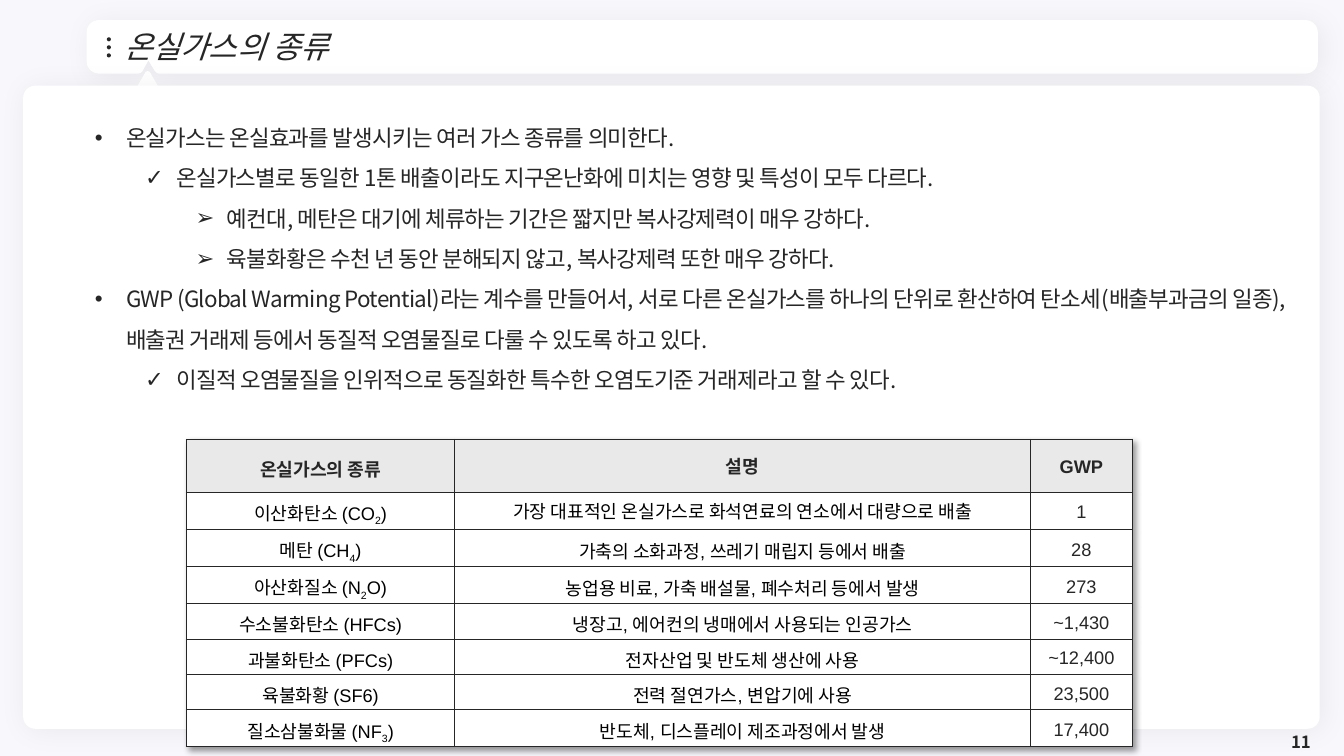
import math

from lxml import etree
from pptx import Presentation
from pptx.dml.color import RGBColor
from pptx.enum import shapes, text
from pptx.oxml import ns
from pptx.util import Inches, Pt

INK = RGBColor(0x26, 0x26, 0x26)
BLACK = RGBColor(0, 0, 0)
WHITE = RGBColor(0xFF, 0xFF, 0xFF)
HEADER = RGBColor(0xE9, 0xE9, 0xE9)
BACKGROUND = RGBColor(0xF8, 0xF7, 0xFC)
KOREAN = "Noto Sans CJK KR"
BULLETS = "•✓➢"

POINTS = [
    (0, "온실가스는 온실효과를 발생시키는 여러 가스 종류를 의미한다."),
    (1, "온실가스별로 동일한 1톤 배출이라도 지구온난화에 미치는 영향 및 특성이 모두 다르다."),
    (2, "예컨대, 메탄은 대기에 체류하는 기간은 짧지만 복사강제력이 매우 강하다."),
    (2, "육불화황은 수천 년 동안 분해되지 않고, 복사강제력 또한 매우 강하다."),
    (0, "GWP (Global Warming Potential)라는 계수를 만들어서, 서로 다른 온실가스를 하나의 단위로 "
        "환산하여 탄소세(배출부과금의 일종), 배출권 거래제 등에서 동질적 오염물질로 다룰 수 있도록 하고 있다."),
    (1, "이질적 오염물질을 인위적으로 동질화한 특수한 오염도기준 거래제라고 할 수 있다."),
]
GASES = [
    (0.52, "온실가스의 종류", "설명", "GWP"),
    (0.37, "이산화탄소 (CO|2|)", "가장 대표적인 온실가스로 화석연료의 연소에서 대량으로 배출", "1"),
    (0.37, "메탄 (CH|4|)", "가축의 소화과정, 쓰레기 매립지 등에서 배출", "28"),
    (0.37, "아산화질소 (N|2|O)", "농업용 비료, 가축 배설물, 폐수처리 등에서 발생", "273"),
    (0.35, "수소불화탄소 (HFCs)", "냉장고, 에어컨의 냉매에서 사용되는 인공가스", "~1,430"),
    (0.35, "과불화탄소 (PFCs)", "전자산업 및 반도체 생산에 사용", "~12,400"),
    (0.35, "육불화황 (SF6)", "전력 절연가스, 변압기에 사용", "23,500"),
    (0.37, "질소삼불화물 (NF|3|)", "반도체, 디스플레이 제조과정에서 발생", "17,400"),
]


def add_xml(parent, tag, **attrs):
    """Append a DrawingML element and return it."""
    return etree.SubElement(parent, ns.qn(tag), attrs)


def add_shadow(parent, alpha, blur, dist):
    """Append a soft black shadow falling to the lower right."""
    effects = add_xml(parent, "a:effectLst")
    shadow = add_xml(effects, "a:outerShdw", blurRad=str(Pt(blur)), dist=str(Pt(dist)),
                     dir="2700000", algn="tl", rotWithShape="0")
    color = add_xml(shadow, "a:srgbClr", val="000000")
    add_xml(color, "a:alpha", val=str(alpha * 1000))
    return effects


def style_run(r, size, color, latin=KOREAN, bold=False, italic=False):
    """Set the font of a run for Latin and Korean letters."""
    f = r.font
    f.size, f.bold, f.italic, f.name = Pt(size), bold, italic, latin
    f.color.rgb = color
    add_xml(f._element, "a:ea", typeface=KOREAN)


def paint(sp, fill, line=0):
    """Fill a shape, with an outline in the same colour when a width is given."""
    sp.fill.solid()
    sp.fill.fore_color.rgb = fill
    if line:
        sp.line.color.rgb = fill
        sp.line.width = Pt(line)
        add_xml(sp.line._get_or_add_ln(), "a:round")
    else:
        sp.line.fill.background()


def add_plain(s, kind, x, y, w, h, fill, line=0):
    """Add a preset shape without shadow."""
    sp = s.shapes.add_shape(kind, Inches(x), Inches(y), Inches(w), Inches(h))
    paint(sp, fill, line)
    sp.shadow.inherit = False
    return sp


def cast_shadow(sp):
    """Give a card its faint shadow."""
    sp.shadow.inherit = False
    props = sp._element.spPr
    props.remove(props.find(ns.qn("a:effectLst")))
    add_shadow(props, 5, 20, 3)


def add_header(s, x, y, w, h):
    """Draw the title bar with its notch, pointer and three dots, and set the title."""
    radius, notch = 0.07, x + 0.56
    corners = [(x + w - radius, y + radius, -90), (x + w - radius, y + h - radius, 0),
               (x + radius, y + h - radius, 90), (x + radius, y + radius, 180)]
    outline = []
    for i, (cx, cy, start) in enumerate(corners):
        if i == 2:
            outline += [(notch + 0.11, y + h), (notch, y + h - 0.18), (notch - 0.1, y + h)]
        for step in range(5):
            angle = math.radians(start + step * 22.5)
            outline.append((cx + radius * math.cos(angle), cy + radius * math.sin(angle)))
    points = [(Inches(px), Inches(py)) for px, py in outline]
    builder = s.shapes.build_freeform(*points[0])
    builder.add_line_segments(points[1:], close=True)
    bar = builder.convert_to_shape()
    paint(bar, WHITE, 7.25)
    cast_shadow(bar)
    for i in range(3):
        add_plain(s, shapes.MSO_SHAPE.OVAL, x + 0.15, y + 0.12 + i * 0.08, 0.04, 0.04, INK)
    add_plain(s, shapes.MSO_SHAPE.ISOSCELES_TRIANGLE, x + 0.44, y + 0.48, 0.23, 0.2, WHITE, 3.75)
    title = s.shapes.title
    title.left, title.top = Inches(x + 0.22), Inches(y + 0.1)
    title.width, title.height = Inches(11.41), Inches(0.26)
    tf = title.text_frame
    tf.text = "온실가스의 종류"
    tf.auto_size, tf.vertical_anchor = text.MSO_AUTO_SIZE.NONE, text.MSO_ANCHOR.MIDDLE
    p = tf.paragraphs[0]
    p.alignment, p.line_spacing = text.PP_ALIGN.LEFT, 0.9
    style_run(p.runs[0], 22, INK, italic=True)
    s.shapes._spTree.append(title._element)


def add_card(s, x, y, w, h):
    """Draw the rounded white card behind the content."""
    card = add_plain(s, shapes.MSO_SHAPE.ROUNDED_RECTANGLE, x, y, w, h, WHITE)
    card.adjustments[0] = 0.019
    cast_shadow(card)


def add_points(s, x, y, w, h):
    """Write the three-level bullet list in the body placeholder."""
    body = s.placeholders[1]
    body.left, body.top, body.width, body.height = (Inches(v) for v in (x, y, w, h))
    s.shapes._spTree.append(body._element)
    tf = body.text_frame
    tf.auto_size, tf.vertical_anchor = text.MSO_AUTO_SIZE.NONE, text.MSO_ANCHOR.TOP
    for i, (level, line) in enumerate(POINTS):
        p = tf.add_paragraph() if i else tf.paragraphs[0]
        p.text, p.level = line, level
        props = p._p.get_or_add_pPr()
        props.set("marL", str(Inches(0.41 + level * 0.5)))
        props.set("indent", str(Inches(-0.31)))
        add_xml(props, "a:buFont", typeface="Arial")
        add_xml(props, "a:buChar", char=BULLETS[level])
        p.line_spacing, p.space_before = 1.5, Pt(0)
        style_run(p.runs[0], 16, INK)
        p.runs[0].font._element.set("spc", "-50")


def add_borders(cell, edges):
    """Draw the left, right, top and bottom cell borders, thicker on outer edges."""
    props = cell._tc.get_or_add_tcPr()
    for i, (side, outer) in enumerate(zip("LRTB", edges)):
        ln = add_xml(props, "a:ln" + side, w=str(Pt(1 if outer else 0.5)))
        add_xml(add_xml(ln, "a:solidFill"), "a:srgbClr", val=str(INK))
        props.insert(i, ln)


def add_gas_table(s, x, y, widths):
    """Build the table of greenhouse gases; text between bars is subscript."""
    rows, cols = len(GASES), len(widths)
    height = sum(row[0] for row in GASES)
    table = s.shapes.add_table(rows, cols, Inches(x), Inches(y),
                               Inches(sum(widths)), Inches(height)).table
    table._tbl.tblPr.insert(0, add_shadow(table._tbl.tblPr, 40, 4, 3))
    for c, width in enumerate(widths):
        table.columns[c].width = Inches(width)
    for r, (row_height, *labels) in enumerate(GASES):
        table.rows[r].height = Inches(row_height)
        for c, label in enumerate(labels):
            cell = table.cell(r, c)
            cell.fill.solid()
            cell.fill.fore_color.rgb = WHITE if r else HEADER
            cell.vertical_anchor = text.MSO_ANCHOR.MIDDLE
            cell.margin_left = cell.margin_right = Inches(0.07)
            cell.margin_top = cell.margin_bottom = Inches(0.02)
            add_borders(cell, (c == 0, c == cols - 1, r == 0, r == rows - 1))
            p = cell.text_frame.paragraphs[0]
            p.alignment = text.PP_ALIGN.CENTER
            p.line_spacing = 1.0 if c == 1 and r < 2 else 1.2
            for i, part in enumerate(label.split("|")):
                run = p.add_run()
                run.text = part
                style_run(run, 13, BLACK if r and c < 2 else INK, "Arial", bold=r == 0)
                if i % 2:
                    run.font._element.set("baseline", "-25000")


def add_page_number(s, x, y, w, h):
    """Write the page number at the lower right."""
    tf = s.shapes.add_textbox(Inches(x), Inches(y), Inches(w), Inches(h)).text_frame
    tf.word_wrap, tf.vertical_anchor = True, text.MSO_ANCHOR.MIDDLE
    tf.text = "11"
    tf.paragraphs[0].alignment = text.PP_ALIGN.RIGHT
    style_run(tf.paragraphs[0].runs[0], 12, INK, bold=True)


def main():
    """Build and save the slide."""
    prs = Presentation()
    prs.slide_width, prs.slide_height = Inches(13.33), Inches(7.5)
    s = prs.slides.add_slide(prs.slide_layouts[1])
    s.background.fill.solid()
    s.background.fill.fore_color.rgb = BACKGROUND
    add_header(s, 0.91, 0.25, 12.11, 0.43)
    add_card(s, 0.23, 0.85, 12.86, 6.38)
    add_page_number(s, 10.1, 7.23, 3, 0.26)
    add_gas_table(s, 1.85, 4.36, (2.66, 5.71, 1.01))
    add_points(s, 0.74, 1.05, 12.17, 2.88)
    prs.save("out.pptx")


if __name__ == "__main__":
    main()
